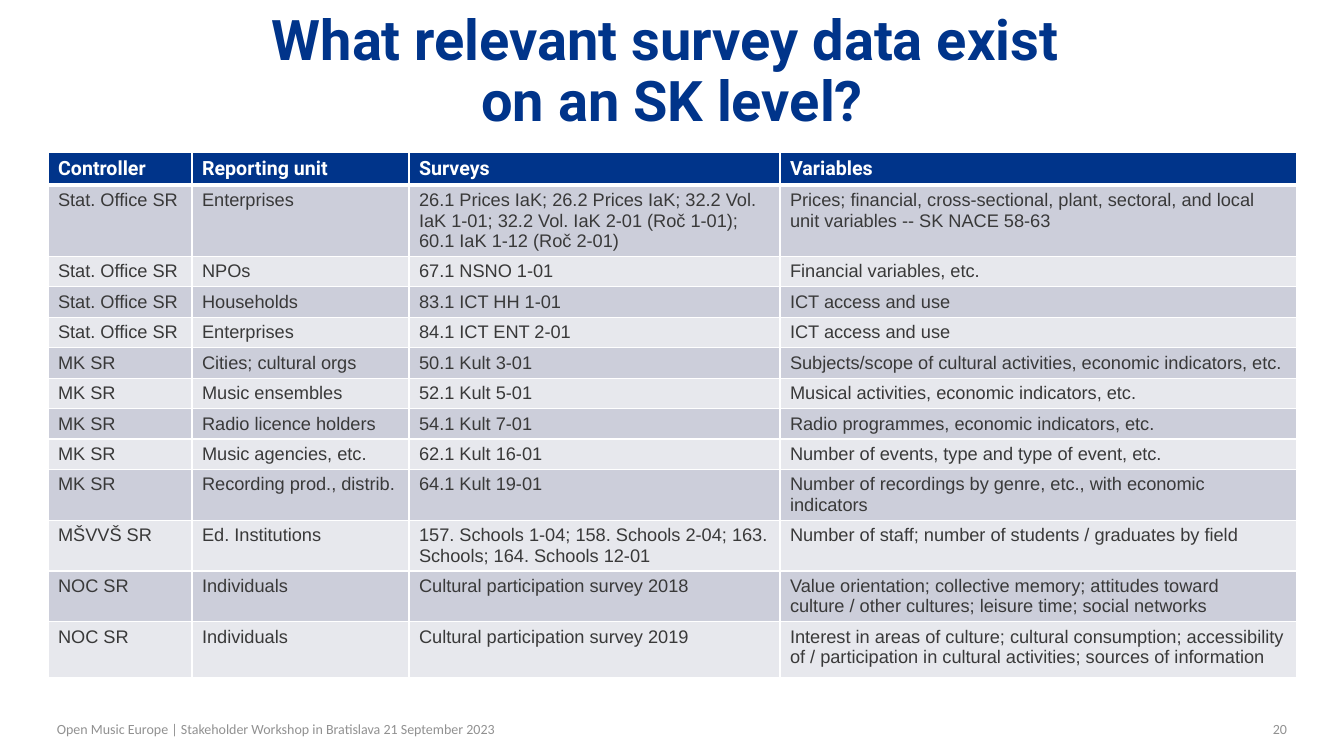
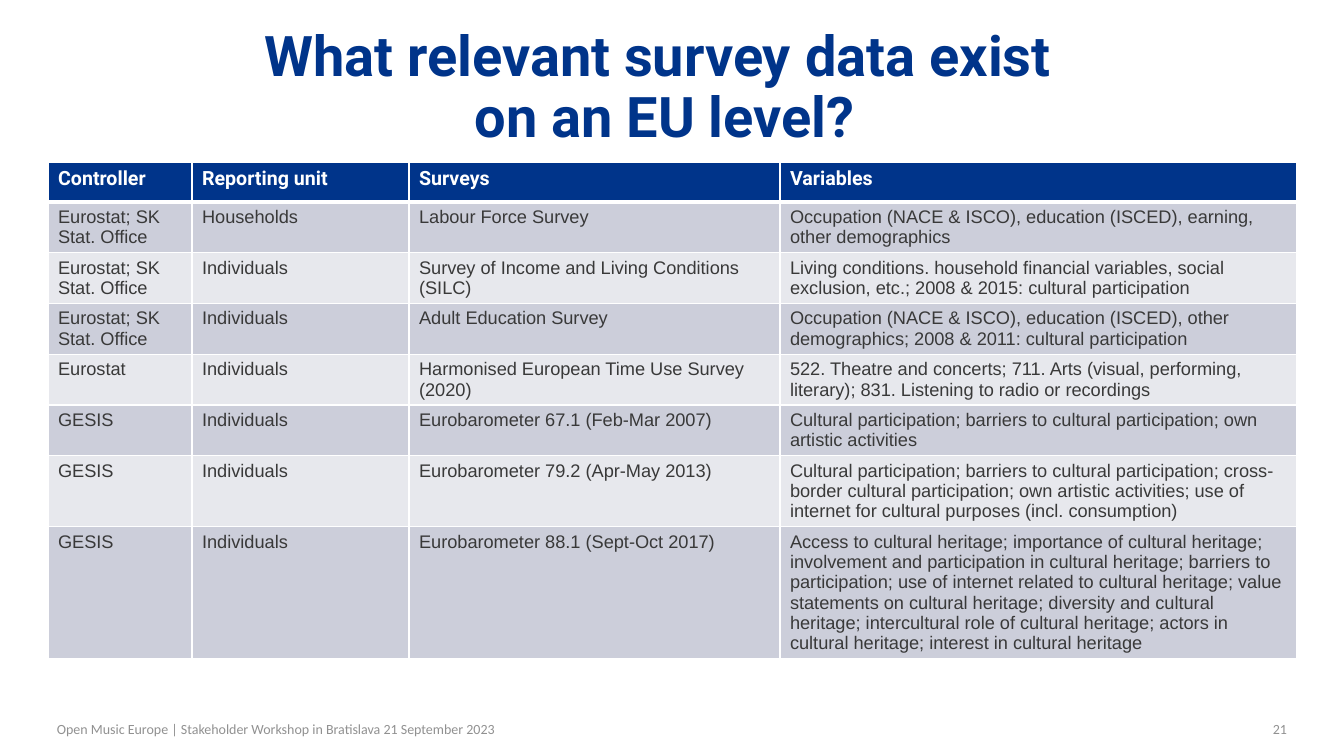
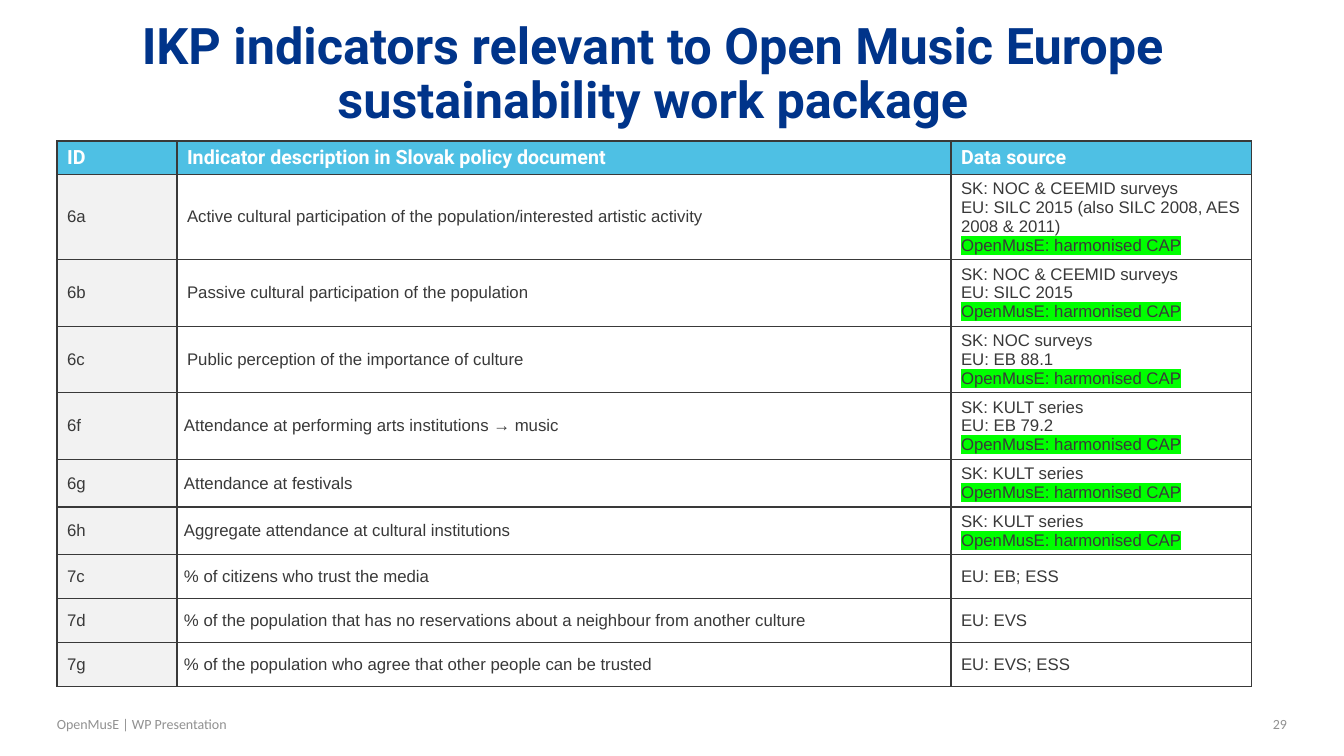
from copy import deepcopy

from lxml.etree import SubElement
from pptx import Presentation
from pptx.dml.color import RGBColor
from pptx.enum.text import MSO_ANCHOR, MSO_AUTO_SIZE, PP_ALIGN
from pptx.oxml.ns import qn
from pptx.util import Emu, Pt

COLORS = {
    "navy": "00348A", "sky": "4EC0E4", "white": "FFFFFF", "ink": "393939",
    "muted": "919191", "band_dark": "CCCEDA", "band_light": "E7E8ED",
    "id_fill": "F2F2F2", "marker": "00FF00",
}
PAGE_WIDTH, PAGE_HEIGHT = 1344, 756
EMU_PER_PX = 12192000 / PAGE_WIDTH
WORKSHOP = "Open Music Europe | Stakeholder Workshop in Bratislava 21 September 2023"
HARMONISED = "OpenMusE: harmonised CAP"


def px(length):
    return Emu(round(length * EMU_PER_PX))


def rgb(name):
    return RGBColor.from_string(COLORS[name])


class Deck:
    """Shared style plus the slide being filled."""

    def __init__(self):
        self.file = Presentation()
        self.file.slide_width, self.file.slide_height = px(PAGE_WIDTH), px(PAGE_HEIGHT)
        self.page = None

    def format_text(self, frame, size, font, color, bold=False, align=PP_ALIGN.LEFT):
        for paragraph in frame.paragraphs:
            paragraph.alignment = align
            for span in paragraph.runs:
                span.font.size, span.font.name = Pt(size), font
                span.font.bold = bold
                span.font.color.rgb = rgb(color)
            # Line breaks take the size of the text around them
            for line_break in paragraph._p.findall(qn("a:br")):
                line_break.append(deepcopy(paragraph.runs[0]._r.rPr))

    def new_page(self, title, left, top, width, size=40):
        self.page = self.file.slides.add_slide(self.file.slide_layouts[5])
        box = self.page.shapes.title
        box.left, box.top, box.width, box.height = map(px, (left, top, width, 42))
        frame = box.text_frame
        frame.text = title
        frame.word_wrap, frame.auto_size = True, MSO_AUTO_SIZE.NONE
        frame.vertical_anchor = MSO_ANCHOR.MIDDLE
        frame.margin_left = frame.margin_right = px(10)
        frame.margin_top = frame.margin_bottom = 0
        frame.paragraphs[0].line_spacing = 0.9
        self.format_text(frame, size, "Roboto", "navy", True, PP_ALIGN.CENTER)

    def footer(self, text, number, top=716):
        parts = ((text, 47, 1166, PP_ALIGN.LEFT), (str(number), 1222, 75, PP_ALIGN.RIGHT))
        for words, left, width, align in parts:
            box = self.page.shapes.add_textbox(px(left), px(top), px(width), px(25))
            frame = box.text_frame
            frame.text = words
            frame.word_wrap = True
            frame.vertical_anchor = MSO_ANCHOR.MIDDLE
            self.format_text(frame, 10, "Calibri", "muted", align=align)

    def grid(self, left, top, widths, heights, rows):
        frame = self.page.shapes.add_table(
            len(rows), len(widths), px(left), px(top), px(sum(widths)), px(sum(heights)))
        table = frame.table
        for column, width in zip(table.columns, widths):
            column.width = px(width)
        for row, height in zip(table.rows, heights):
            row.height = px(height)
        for r, texts in enumerate(rows):
            for c, text in enumerate(texts):
                table.cell(r, c).text_frame.text = text
        return table

    def format_cell(self, cell, fill, size, font, color, bold=False):
        cell.fill.solid()
        cell.fill.fore_color.rgb = rgb(fill)
        self.format_text(cell.text_frame, size, font, color, bold)

    def borders(self, cell, color, top=1, bottom=1):
        properties = cell._tc.get_or_add_tcPr()
        sides = (("L", 1), ("R", 1), ("T", top), ("B", bottom))
        for position, (side, width) in enumerate(sides):
            line = SubElement(properties, qn(f"a:ln{side}"), w=str(Pt(width)))
            fill = SubElement(line, qn("a:solidFill"))
            SubElement(fill, qn("a:srgbClr"), val=COLORS[color])
            properties.insert(position, line)

    def highlight(self, span):
        properties = span._r.get_or_add_rPr()
        mark = SubElement(properties, qn("a:highlight"))
        SubElement(mark, qn("a:srgbClr"), val=COLORS["marker"])
        properties.find(qn("a:latin")).addprevious(mark)

    def survey_table(self, top, heights, rows):
        header = ("Controller", "Reporting unit", "Surveys", "Variables")
        table = self.grid(48, top, (144, 217, 371, 517), heights, [header] + rows)
        for r, row in enumerate(table.rows):
            for cell in row.cells:
                if r == 0:
                    self.format_cell(cell, "navy", 14, "Roboto", "white", True)
                else:
                    band = "band_dark" if r % 2 else "band_light"
                    self.format_cell(cell, band, 13, "Arial", "ink")
                self.borders(cell, "white", 3 if r == 1 else 1, 3 if r == 0 else 1)

    def indicator_table(self, top, heights, rows, first_tight_row):
        header = ("ID", "Indicator description in Slovak policy document", "Data source")
        table = self.grid(57, top, (120, 774, 301), heights, [header] + rows)
        for r, row in enumerate(table.rows):
            for c, cell in enumerate(row.cells):
                cell.vertical_anchor = MSO_ANCHOR.MIDDLE
                if r == 0:
                    self.format_cell(cell, "sky", 14, "Roboto", "white", True)
                else:
                    self.format_cell(cell, "white" if c else "id_fill", 12, "Arial", "ink")
                self.borders(cell, "ink")
                if c == 1 and r >= first_tight_row:
                    cell.margin_left = cell.margin_right = px(7)
                    cell.margin_top = cell.margin_bottom = 0
                for paragraph in cell.text_frame.paragraphs:
                    if paragraph.text == HARMONISED:
                        self.highlight(paragraph.runs[0])


SLOVAK_SURVEYS = [
    ("Stat. Office SR", "Enterprises",
     "26.1 Prices IaK; 26.2 Prices IaK; 32.2 Vol. IaK 1-01; 32.2 Vol. IaK 2-01 (Roč 1-01); "
     "60.1 IaK 1-12 (Roč 2-01)",
     "Prices; financial, cross-sectional, plant, sectoral, and local unit variables "
     "-- SK NACE 58-63"),
    ("Stat. Office SR", "NPOs", "67.1 NSNO 1-01", "Financial variables, etc."),
    ("Stat. Office SR", "Households", "83.1 ICT HH 1-01", "ICT access and use"),
    ("Stat. Office SR", "Enterprises", "84.1 ICT ENT 2-01", "ICT access and use"),
    ("MK SR", "Cities; cultural orgs", "50.1 Kult 3-01",
     "Subjects/scope of cultural activities, economic indicators, etc."),
    ("MK SR", "Music ensembles", "52.1 Kult 5-01",
     "Musical activities, economic indicators, etc."),
    ("MK SR", "Radio licence holders", "54.1 Kult 7-01",
     "Radio programmes, economic indicators, etc."),
    ("MK SR", "Music agencies, etc.", "62.1 Kult 16-01",
     "Number of events, type and type of event, etc."),
    ("MK SR", "Recording prod., distrib.", "64.1 Kult 19-01",
     "Number of recordings by genre, etc., with economic indicators"),
    ("MŠVVŠ SR", "Ed. Institutions",
     "157. Schools 1-04; 158. Schools 2-04; 163. Schools; 164. Schools 12-01",
     "Number of staff; number of students / graduates by field"),
    ("NOC SR", "Individuals", "Cultural participation survey 2018",
     "Value orientation; collective memory; attitudes toward culture / other cultures; "
     "leisure time; social networks"),
    ("NOC SR", "Individuals", "Cultural participation survey 2019",
     "Interest in areas of culture; cultural consumption; accessibility of / participation "
     "in cultural activities; sources of information"),
]

EUROPEAN_SURVEYS = [
    ("Eurostat; SK Stat. Office", "Households", "Labour Force Survey",
     "Occupation (NACE & ISCO), education (ISCED), earning, other demographics"),
    ("Eurostat; SK Stat. Office", "Individuals",
     "Survey of Income and Living Conditions (SILC)",
     "Living conditions. household financial variables, social exclusion, etc.; "
     "2008 & 2015: cultural participation"),
    ("Eurostat; SK Stat. Office", "Individuals", "Adult Education Survey",
     "Occupation (NACE & ISCO), education (ISCED), other demographics; "
     "2008 & 2011: cultural participation"),
    ("Eurostat", "Individuals", "Harmonised European Time Use Survey (2020)",
     "522. Theatre and concerts; 711. Arts (visual, performing, literary); "
     "831. Listening to radio or recordings"),
    ("GESIS", "Individuals", "Eurobarometer 67.1 (Feb-Mar 2007)",
     "Cultural participation; barriers to cultural participation; own artistic activities"),
    ("GESIS", "Individuals", "Eurobarometer 79.2 (Apr-May 2013)",
     "Cultural participation; barriers to cultural participation; cross-border cultural "
     "participation; own artistic activities; use of internet for cultural purposes "
     "(incl. consumption)"),
    ("GESIS", "Individuals", "Eurobarometer 88.1 (Sept-Oct 2017)",
     "Access to cultural heritage; importance of cultural heritage; involvement and "
     "participation in cultural heritage; barriers to participation; use of internet related "
     "to cultural heritage; value statements on cultural heritage; diversity and cultural "
     "heritage; intercultural role of cultural heritage; actors in cultural heritage; "
     "interest in cultural heritage"),
]

INDICATORS = [
    ("6a", "Active cultural participation of the population/interested artistic activity",
     f"SK: NOC & CEEMID surveys\nEU: SILC 2015 (also SILC 2008, AES 2008 & 2011)\n{HARMONISED}"),
    ("6b", "Passive cultural participation of the population",
     f"SK: NOC & CEEMID surveys\nEU: SILC 2015\n{HARMONISED}"),
    ("6c", "Public perception of the importance of culture",
     f"SK: NOC surveys\nEU: EB 88.1\n{HARMONISED}"),
    ("6f", "Attendance at performing arts institutions → music",
     f"SK: KULT series\vEU: EB 79.2\n{HARMONISED}"),
    ("6g", "Attendance at festivals", f"SK: KULT series\n{HARMONISED}"),
    ("6h", "Aggregate attendance at cultural institutions", f"SK: KULT series\n{HARMONISED}"),
    ("7c", "% of citizens who trust the media", "EU: EB; ESS"),
    ("7d", "% of the population that has no reservations about a neighbour from another culture",
     "EU: EVS"),
    ("7g", "% of the population who agree that other people can be trusted", "EU: EVS; ESS"),
]


def main():
    deck = Deck()

    # Slovak surveys
    deck.new_page("What relevant survey data exist \von an SK level?", 47, 52, 1250)
    deck.survey_table(152, [33, 70] + [30] * 7 + [50] * 3 + [56], SLOVAK_SURVEYS)
    deck.footer(WORKSHOP, 20)

    # European surveys
    deck.new_page("What relevant survey data exist \von an EU level?", 47, 68, 1235)
    deck.survey_table(162, [40] + [50] * 5 + [70, 131], EUROPEAN_SURVEYS)
    deck.footer(WORKSHOP, 21)

    # Policy indicators
    deck.new_page("IKP indicators relevant to Open Music Europe sustainability work package",
                  28, 54, 1250, size=36)
    deck.indicator_table(141, [33, 85] + [66] * 3 + [47] * 2 + [44] * 3, INDICATORS, 4)
    deck.footer("OpenMusE | WP Presentation", 29, top=711)

    deck.file.save("out.pptx")


if __name__ == "__main__":
    main()
